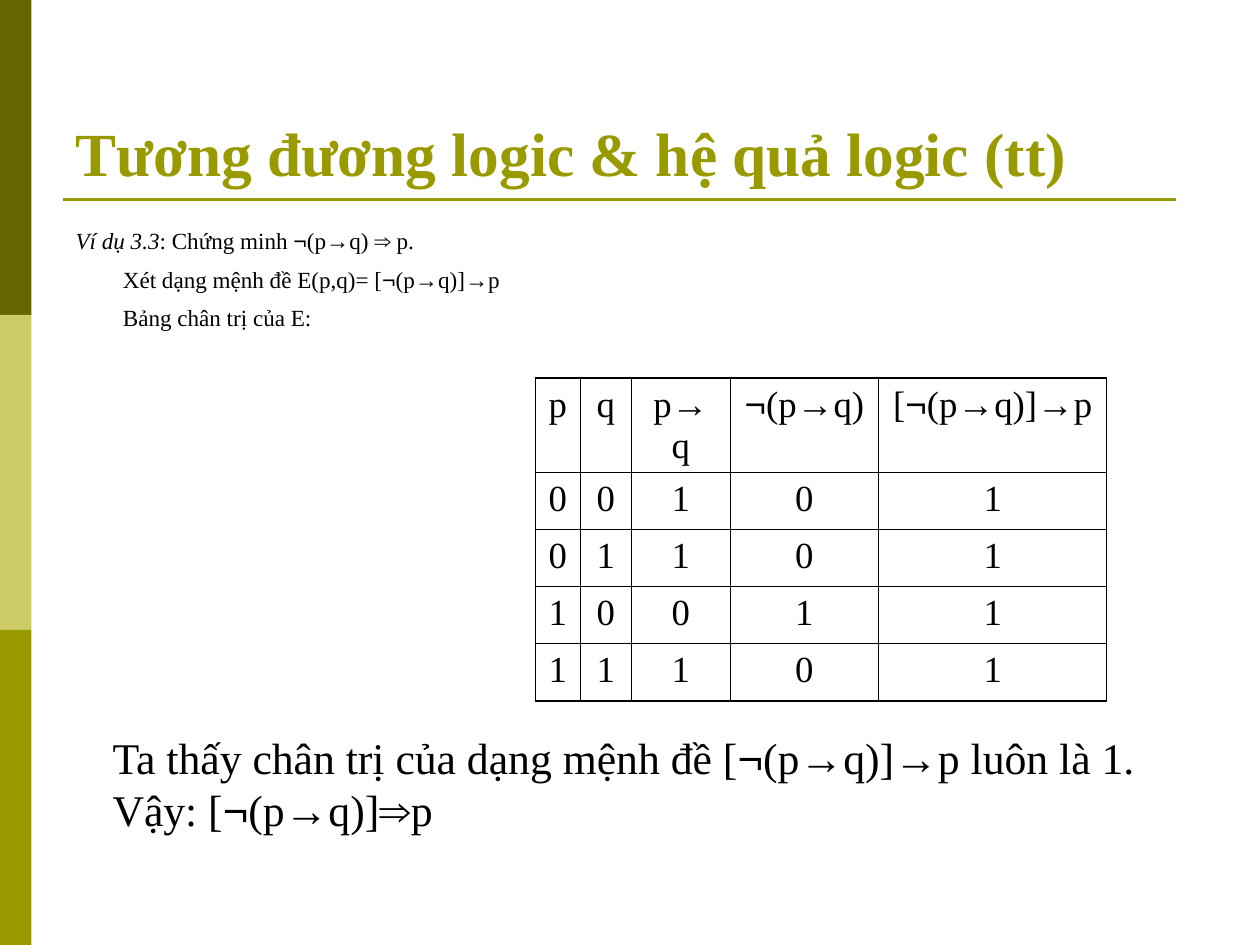
from dataclasses import dataclass
from itertools import groupby

from lxml.etree import SubElement
from pptx import Presentation
from pptx.dml.color import RGBColor
from pptx.enum.shapes import MSO_CONNECTOR, MSO_SHAPE
from pptx.enum.text import MSO_ANCHOR, MSO_AUTO_SIZE, PP_ALIGN
from pptx.oxml.ns import qn
from pptx.util import Pt

COLORS = {
    "dark": "666600",
    "light": "CCCC66",
    "olive": "999900",
    "black": "000000",
}
SERIF, SYMBOL_FONT = "Times New Roman", "Arial"
SYMBOLS = "¬→⇒"
INDENT = 27
BAND_W, BAND_H = 18, 180
THIN, THICK = 0.45, 1.08

COL_WIDTHS = [25.4, 29.6, 56.2, 85, 130.2]
ROW_HEIGHTS = [35.2] + [32.6] * 4
TRUTH_TABLE = [
    ["p", "q", "p→q", "¬(p→q)", "[¬(p→q)]→p"],
    ["0", "0", "1", "0", "1"],
    ["0", "1", "1", "0", "1"],
    ["1", "0", "0", "1", "1"],
    ["1", "1", "1", "0", "1"],
]


@dataclass
class Line:
    text: str
    lead: str = ""  # italic opening words
    indent: float = INDENT
    first: float = 0  # first-line offset from the indent


EXAMPLE = [
    Line(": Chứng minh ¬(p→q) ⇒ p.", "Ví dụ 3.3", first=-INDENT),
    Line("Xét dạng mệnh đề E(p,q)= [¬(p→q)]→p"),
    Line("Bảng chân trị của E:"),
]
CONCLUSION = Line("Ta thấy chân trị của dạng mệnh đề [¬(p→q)]→p luôn là 1. Vậy: [¬(p→q)]⇒p")


def rgb(name: str) -> RGBColor:
    return RGBColor.from_string(COLORS[name])


def place(sp, left: float, top: float, width: float, height: float) -> None:
    sp.left, sp.top, sp.width, sp.height = Pt(left), Pt(top), Pt(width), Pt(height)


def add_runs(p, text: str, italic: bool = False) -> None:
    """Add text with logic symbols in their own font."""
    for is_symbol, chars in groupby(text, lambda c: c in SYMBOLS):
        r = p.add_run()
        r.text = "".join(chars)
        r.font.name = SYMBOL_FONT if is_symbol else SERIF
        if italic:
            r.font.italic = True


def write_line(p, line: Line, size: float, before: float) -> None:
    p.font.size, p.font.color.rgb = Pt(size), rgb("black")
    p.space_before = Pt(before)
    pPr = p._p.get_or_add_pPr()
    pPr.set("marL", str(Pt(line.indent)))
    pPr.set("indent", str(Pt(line.first)))
    # The bullet setting precedes the default run properties
    pPr.insert_element_before(pPr.makeelement(qn("a:buNone"), {}), "a:tabLst", "a:defRPr")
    add_runs(p, line.lead, italic=True)
    add_runs(p, line.text)


def add_band(s, row: int, color: str) -> None:
    sp = s.shapes.add_shape(MSO_SHAPE.RECTANGLE, 0, Pt(row * BAND_H), Pt(BAND_W), Pt(BAND_H))
    sp.shadow.inherit = False
    sp.fill.solid()
    sp.fill.fore_color.rgb = rgb(color)
    sp.line.fill.background()


def add_title_rule(s) -> None:
    rule = s.shapes.add_connector(MSO_CONNECTOR.STRAIGHT, Pt(36), Pt(114), Pt(672), Pt(114))
    rule.line.color.rgb, rule.line.width = rgb("olive"), Pt(1.5)
    SubElement(rule._element.spPr, qn("a:effectLst"))


def set_borders(cell, widths: dict[str, float]) -> None:
    tcPr = cell._tc.get_or_add_tcPr()
    for side, width in widths.items():
        ln = SubElement(tcPr, qn(f"a:ln{side}"), w=str(Pt(width)))
        fill = SubElement(ln, qn("a:solidFill"))
        SubElement(fill, qn("a:srgbClr"), val=COLORS["black"])


def add_truth_table(s, left: float, top: float) -> None:
    n_rows, n_cols = len(ROW_HEIGHTS), len(COL_WIDTHS)
    frame = s.shapes.add_table(n_rows, n_cols, Pt(left), Pt(top),
                               Pt(sum(COL_WIDTHS)), Pt(sum(ROW_HEIGHTS)))
    table = frame.table
    table.first_row = table.horz_banding = False
    for col, width in zip(table.columns, COL_WIDTHS):
        col.width = Pt(width)
    for i, (row, height) in enumerate(zip(table.rows, ROW_HEIGHTS)):
        row.height = Pt(height)
        for j, cell in enumerate(row.cells):
            edges = {"L": j == 0, "R": j == n_cols - 1, "T": i == 0, "B": i == n_rows - 1}
            set_borders(cell, {k: THICK if outer else THIN for k, outer in edges.items()})
            cell.fill.background()
            p = cell.text_frame.paragraphs[0]
            p.alignment, p.space_before = PP_ALIGN.CENTER, Pt(5.2)
            p.font.size, p.font.color.rgb = Pt(21), rgb("black")
            add_runs(p, TRUTH_TABLE[i][j])


def fill_title(title) -> None:
    place(title, 36, 21.6, 648, 90)
    tf = title.text_frame
    tf.auto_size, tf.vertical_anchor = MSO_AUTO_SIZE.NONE, MSO_ANCHOR.BOTTOM
    p = tf.paragraphs[0]
    p.text = "Tương đương logic & hệ quả logic (tt)"
    p.alignment = PP_ALIGN.LEFT
    p.font.name, p.font.size, p.font.bold = SERIF, Pt(35), True
    p.font.color.rgb = rgb("olive")


def fill_example(body) -> None:
    place(body, 36, 126, 666, 67.7)
    tf = body.text_frame
    tf.auto_size = MSO_AUTO_SIZE.NONE
    for i, line in enumerate(EXAMPLE):
        p = tf.add_paragraph() if i else tf.paragraphs[0]
        write_line(p, line, size=13.2, before=6)


def add_conclusion(s) -> None:
    tf = s.shapes.add_textbox(Pt(30.2), Pt(414), Pt(642.2), Pt(77.8)).text_frame
    tf.word_wrap = True
    write_line(tf.paragraphs[0], CONCLUSION, size=25, before=6.2)


def main() -> None:
    prs = Presentation()
    prs.slide_width, prs.slide_height = Pt(720), Pt(540)
    s = prs.slides.add_slide(prs.slide_layouts[1])
    for row, color in enumerate(["dark", "light", "olive"]):
        add_band(s, row, color)
    add_title_rule(s)
    fill_title(s.shapes.title)
    fill_example(s.placeholders[1])
    add_truth_table(s, 306, 216)
    add_conclusion(s)
    prs.save("out.pptx")


if __name__ == "__main__":
    main()
